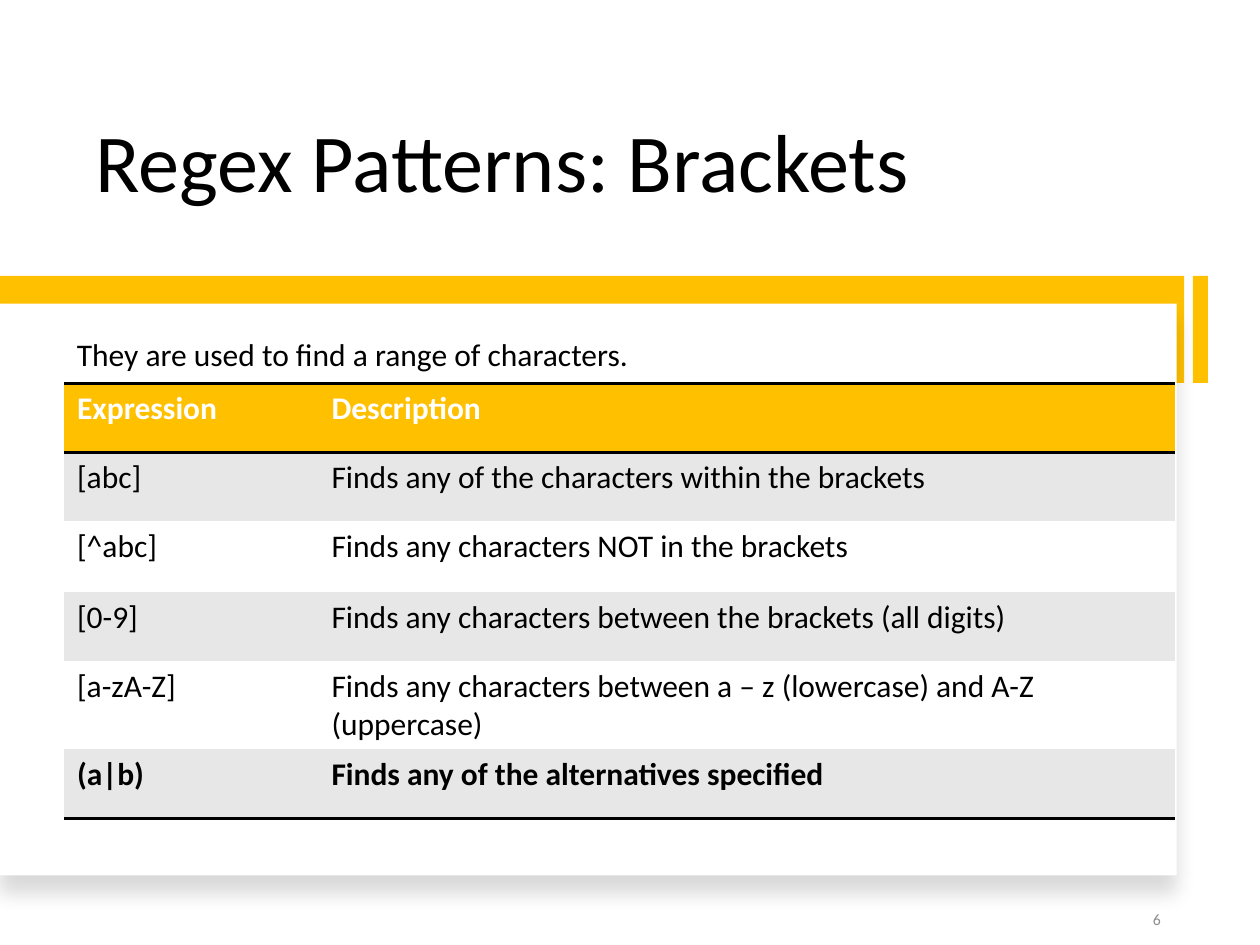
from lxml import etree
from pptx import Presentation
from pptx.dml.color import RGBColor
from pptx.enum import shapes, text
from pptx.oxml import ns
from pptx.util import Cm, Pt

BLACK = RGBColor(0, 0, 0)
WHITE = RGBColor(255, 255, 255)
GOLD = RGBColor(0xFF, 0xC0, 0x00)
BAND = RGBColor(0xE7, 0xE7, 0xE7)
GRAY = RGBColor(0x8C, 0x8C, 0x8C)
FONT = "Calibri"
PLAIN_TABLE = "{2D5ABB26-0587-4C30-8999-92F81FD0307C}"

TITLE = "Regex Patterns: Brackets"
INTRO = "They are used to find a range of characters."
PAGE = "6"
PATTERNS = [
    ("Expression", "Description"),
    ("[abc]", "Finds any of the characters within the brackets"),
    ("[^abc]", "Finds any characters NOT in the brackets"),
    ("[0-9]", "Finds any characters between the brackets (all digits)"),
    ("[a-zA-Z]", "Finds any characters between a – z (lowercase) and A-Z (uppercase)"),
    ("(a|b)", "Finds any of the alternatives specified"),
]
COLUMN_WIDTHS = (5.13, 17.25)
ROW_HEIGHTS = (1.39, 1.39, 1.43, 1.39, 1.39, 1.39)
TABLE_LEFT, TABLE_TOP = 1.3, 7.73
BAR_TOP, BAR_HEIGHT = 5.56, 2.16
LAST = len(PATTERNS) - 1


def write(frame, content, size=18, color=BLACK, bold=False, align=None, spacing=None, after=None):
    paragraph = frame.paragraphs[0]
    paragraph.alignment = align
    paragraph.line_spacing = spacing
    paragraph.space_after = after
    run = paragraph.add_run()
    run.text = content
    run.font.name = FONT
    run.font.size = Pt(size)
    run.font.bold = bold
    run.font.color.rgb = color


def add_label(slide, box, content, anchor=text.MSO_ANCHOR.TOP, wrap=True, **style):
    frame = slide.shapes.add_textbox(*map(Cm, box)).text_frame
    frame.word_wrap = wrap
    frame.vertical_anchor = anchor
    write(frame, content, **style)
    return frame


def add_panel(slide, box, color):
    panel = slide.shapes.add_shape(shapes.MSO_SHAPE.RECTANGLE, *map(Cm, box))
    panel.shadow.inherit = False
    panel.fill.solid()
    panel.fill.fore_color.rgb = color
    panel.line.fill.background()
    return panel


def add_child(parent, tag, **attributes):
    return etree.SubElement(parent, ns.qn(tag), attributes)


def cast_shadow(panel):
    effects = panel._element.spPr.find(ns.qn("a:effectLst"))
    shadow = add_child(effects, "a:outerShdw", blurRad=str(Pt(11)), dist=str(Pt(10)),
                       dir="5400000", algn="t", rotWithShape="0")
    add_child(add_child(shadow, "a:srgbClr", val=str(BLACK)), "a:alpha", val="15000")


def rule_cell(cell, sides):
    properties = cell._tc.get_or_add_tcPr()
    for side in sides:
        line = add_child(properties, f"a:ln{side}", w=str(Pt(2)))
        add_child(add_child(line, "a:solidFill"), "a:srgbClr", val=str(BLACK))


def add_patterns(slide):
    frame = slide.shapes.add_table(
        len(PATTERNS), len(COLUMN_WIDTHS), Cm(TABLE_LEFT), Cm(TABLE_TOP),
        Cm(sum(COLUMN_WIDTHS)), Cm(sum(ROW_HEIGHTS)))
    table = frame.table
    table._tbl.tblPr.find(ns.qn("a:tableStyleId")).text = PLAIN_TABLE
    for column, width in zip(table.columns, COLUMN_WIDTHS):
        column.width = Cm(width)
    for r, (height, pattern) in enumerate(zip(ROW_HEIGHTS, PATTERNS)):
        table.rows[r].height = Cm(height)
        header = r == 0
        sides = "TB" if header else "B" if r == LAST else ""
        for c, content in enumerate(pattern):
            cell = table.cell(r, c)
            rule_cell(cell, sides)
            cell.fill.solid()
            cell.fill.fore_color.rgb = GOLD if header else BAND if r % 2 else WHITE
            write(cell.text_frame, content, color=WHITE if header else BLACK,
                  bold=r in (0, LAST))


def main():
    deck = Presentation()
    deck.slide_width, deck.slide_height = Cm(25.4), Cm(19.05)
    slide = deck.slides.add_slide(deck.slide_layouts[6])
    add_label(slide, (1.68, 1.07, 19.25, 3.3), TITLE, size=47, spacing=0.9,
              anchor=text.MSO_ANCHOR.BOTTOM)
    add_panel(slide, (24.05, BAR_TOP, 0.3, BAR_HEIGHT), GOLD)
    add_panel(slide, (0, BAR_TOP, 23.87, BAR_HEIGHT), GOLD)
    cast_shadow(add_panel(slide, (0, 6.12, 23.72, 11.53), WHITE))
    add_patterns(slide)
    add_label(slide, (17.93, 18.03, 5.72, 1.02), PAGE, size=9, color=GRAY,
              anchor=text.MSO_ANCHOR.MIDDLE, align=text.PP_ALIGN.RIGHT, after=Pt(6))
    intro = add_label(slide, (TABLE_LEFT, 6.63, 11.76, 1.02), INTRO, wrap=False)
    intro.auto_size = text.MSO_AUTO_SIZE.SHAPE_TO_FIT_TEXT
    deck.save("out.pptx")


if __name__ == "__main__":
    main()
